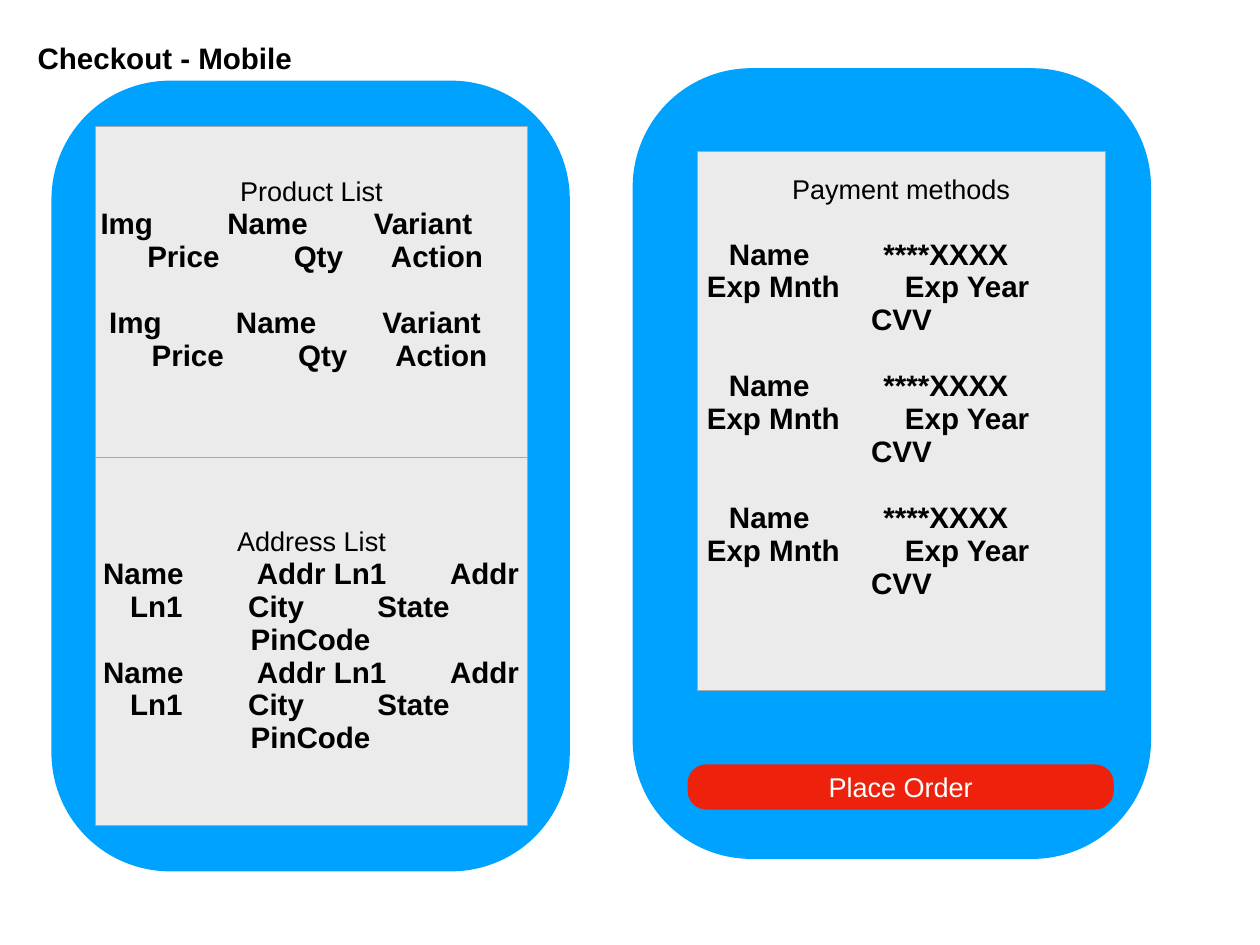
from pptx import Presentation
from pptx.dml.color import RGBColor as RGB
from pptx.enum.shapes import MSO_SHAPE as Shape
from pptx.enum.text import MSO_ANCHOR as Anchor, PP_ALIGN as Align
from pptx.oxml import parse_xml
from pptx.oxml.ns import nsdecls
from pptx.util import Pt

# Content: each line is a list of (x, word), x from the left of the cell text
TITLE = "Checkout - Mobile"
BUTTON = "Place Order"


def product(first, second):
    return [[(first, "Img"), (first + 103, "Name"), (first + 222, "Variant")],
            [(second, "Price"), (second + 119, "Qty"), (second + 198, "Action")]]


ADDRESS = [[(2, "Name"), (127, "Addr Ln1"), (284, "Addr")],
           [(24, "Ln1"), (120, "City"), (225, "State")],
           [(122, "PinCode")]]
CARD = [[(21.5, "Name"), (147, "****XXXX")],
        [(3.5, "Exp Mnth"), (164.5, "Exp Year")],
        [(137, "CVV")]]

# Cells: heading, entries, gap lines before the first and later entries,
# free lines at the end, height
CELLS = {
    "product": ("Product List", [product(0, 38), product(7, 41.5)], 0, 1, 1, 268.6),
    "address": ("Address List", [ADDRESS] * 2, 0, 0, 0, 299.5),
    "payment": ("Payment methods", [CARD] * 3, 1, 1, 2, 437.4),
}
PHONES = [(41.8, 65.5), (514.1, 55.4)]
PHONE_W, PHONE_H = 421.2, 642.2
TABLES = [(77.4, 102.4, 351.4, ["product", "address"]),
          (566.6, 123.1, 331.2, ["payment"])]

THEME = dict(font="Arial", bold=24, plain=22, line=26.8, edge="A6AAA9",
             phone="00A2FF", cell="EBEBEB", button="EE220C",
             ink="000000", light="FFFFFF")

deck = Presentation()
deck.slide_width, deck.slide_height = Pt(1023.84), Pt(767.52)
slide = deck.slides.add_slide(deck.slide_layouts[6])


def style(para, size, color="ink", align=Align.CENTER):
    para.alignment = align
    font = para.font
    font.name, font.size = THEME["font"], Pt(THEME[size])
    font.bold = size == "bold"
    font.color.rgb = RGB.from_string(THEME[color])


def paint(item, color):
    item.fill.solid()
    item.fill.fore_color.rgb = RGB.from_string(THEME[color])


def panel(x, y, w, h, curve, color):
    box = slide.shapes.add_shape(Shape.ROUNDED_RECTANGLE, Pt(x), Pt(y), Pt(w), Pt(h))
    box.adjustments[0] = curve
    box.shadow.inherit = False
    box.line.fill.background()
    paint(box, color)
    return box


def label(box, text, size, color):
    frame = box.text_frame
    frame.margin_left = frame.margin_right = Pt(4)
    frame.margin_top = frame.margin_bottom = Pt(4)
    frame.vertical_anchor = Anchor.MIDDLE
    frame.paragraphs[0].text = text
    style(frame.paragraphs[0], size, color)
    return frame


def add_line(frame, words, gap):
    para = frame.add_paragraph()
    stops = [x for x, word in words if x]
    para.text = "".join(("\t" if x else "") + word for x, word in words)
    para.space_before = Pt(gap * THEME["line"])
    tabs = "".join(f'<a:tab pos="{Pt(x)}" algn="l"/>' for x in stops)
    para._p.get_or_add_pPr().append(
        parse_xml(f'<a:tabLst {nsdecls("a")}>{tabs}</a:tabLst>'))
    style(para, "bold", align=Align.LEFT)


def fill_cell(cell, heading, entries, lead, gap, tail):
    cell.margin_left = cell.margin_right = Pt(4.3)
    cell.margin_top = Pt(3.6)
    cell.margin_bottom = Pt(3.6 + tail * THEME["line"])
    cell.vertical_anchor = Anchor.MIDDLE
    props = cell._tc.get_or_add_tcPr()
    for side in "LRTB":
        props.append(parse_xml(
            f'<a:ln{side} {nsdecls("a")} w="{Pt(0.45)}"><a:solidFill>'
            f'<a:srgbClr val="{THEME["edge"]}"/></a:solidFill></a:ln{side}>'))
    paint(cell, "cell")
    frame = cell.text_frame
    frame.paragraphs[0].text = heading
    style(frame.paragraphs[0], "plain")
    for num, entry in enumerate(entries):
        for row, words in enumerate(entry):
            add_line(frame, words, 0 if row else gap if num else lead)


def add_list(x, y, w, names):
    high = sum(CELLS[name][-1] for name in names)
    table = slide.shapes.add_table(len(names), 1, Pt(x), Pt(y), Pt(w), Pt(high)).table
    table.first_row = table.horz_banding = False
    for row, name in enumerate(names):
        *parts, tall = CELLS[name]
        table.rows[row].height = Pt(tall)
        fill_cell(table.cell(row, 0), *parts)


# Title
head = slide.shapes.add_textbox(Pt(18.6), Pt(28.1), Pt(230.6), Pt(36.7))
label(head, TITLE, "bold", "ink").word_wrap = False

# Phones
for x, y in PHONES:
    panel(x, y, PHONE_W, PHONE_H, 0.229, "phone")

# Order button
order = panel(558.7, 620.8, 346.3, 36.7, 0.413, "button")
label(order, BUTTON, "plain", "light")

# Lists
for spot in TABLES:
    add_list(*spot)

deck.save("out.pptx")
